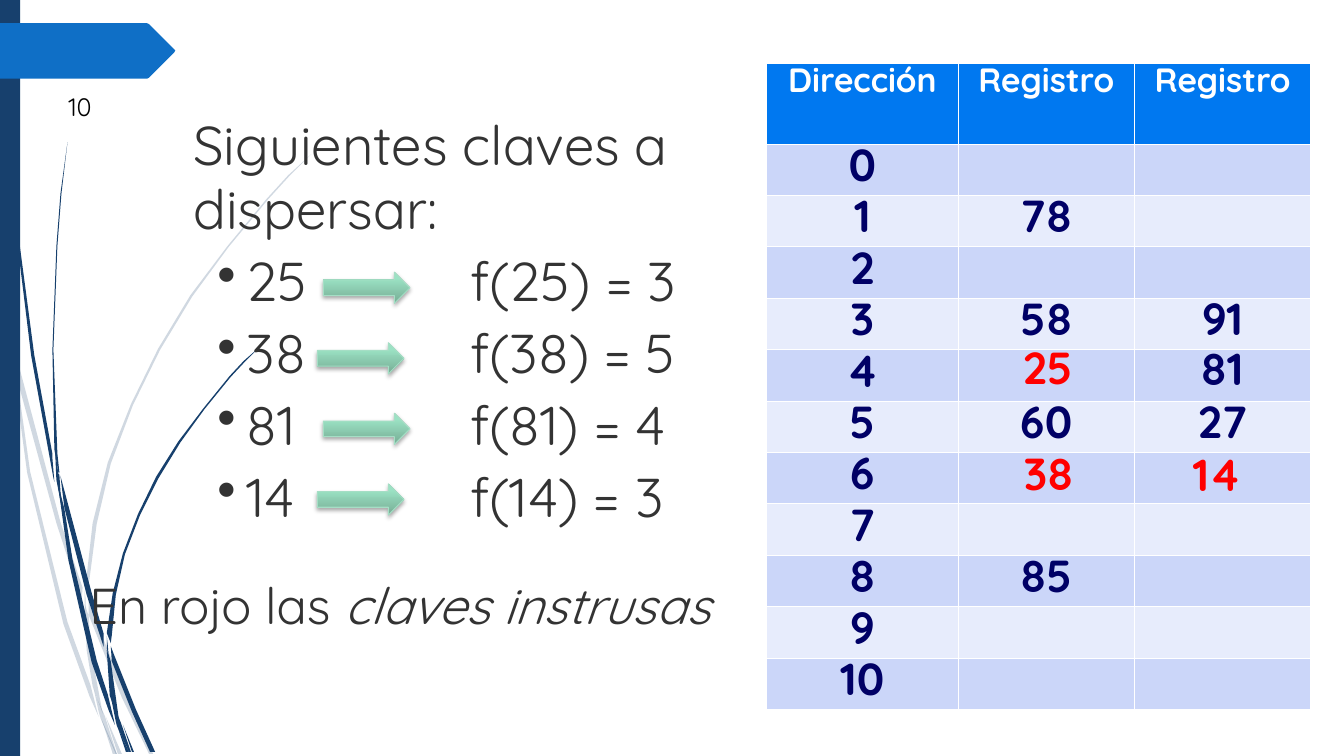
from lxml import etree
from pptx import Presentation
from pptx.dml.color import RGBColor as Rgb
from pptx.enum.shapes import MSO_SHAPE as Shape
from pptx.enum.text import PP_ALIGN as Align
from pptx.oxml import parse_xml
from pptx.oxml.ns import nsdecls, qn
from pptx.util import Inches, Pt

COLORS = {
    "navy": "17406D", "flag": "0F6FC6", "body": "333333", "black": "000000",
    "header": "0078F0", "band": "CBD6F9", "light": "E7ECFC", "key": "000066",
    "intruder": "FF0000", "white": "FFFFFF", "arrow_line": "A5DEC5",
}
ARROW_STOPS = [(0, "76AC94"), (80, "9BE2C4"), (100, "9BE4C5")]

PALE_STRANDS = [
    [(.08, 3.47), (.06, 3.2), (0, 2.82), (0, 2.98), (.07, 3.41)],
    [(.56, 5.19), (.81, 5.96), (.82, 5.83), (.6, 5.18), (.14, 3.45), (.17, 3.76)],
    [(.92, 6.07), (.88, 5.96), (.88, 6.1), (1.21, 6.92), (1.48, 7.48), (1.52, 7.48),
     (1.25, 6.9)],
    [(1.17, 7.48), (1.21, 7.48), (1.05, 7.11)],
    [(.9, 6.8), (.67, 6.17), (.3, 4.68), (.17, 3.76), (.11, 3.5), (.27, 4.69),
     (.63, 6.19), (.89, 6.91), (.98, 7.11), (.96, 7.04)],
    [(.84, 5.99), (.86, 6.45), (.92, 6.81), (.95, 6.89), (1.02, 7.08), (1.01, 7.03),
     (.9, 6.44), (.88, 6.1), (.87, 6.08)],
    [(.88, 5.81), (.96, 5.2), (1.1, 4.6), (1.32, 4.02), (1.59, 3.47), (1.91, 2.94),
     (2.27, 2.45), (2.66, 1.98), (2.87, 1.75), (3.09, 1.53), (2.86, 1.74),
     (2.65, 1.97), (2.26, 2.44), (1.89, 2.93), (1.57, 3.46), (1.3, 4.01),
     (1.07, 4.59), (.92, 5.19), (.85, 5.81), (.85, 5.83), (.88, 5.93)],
    [(1.01, 7.14), (1.12, 7.48), (1.16, 7.48)],
    [(.85, 6.05), (.85, 6.07), (.85, 5.94), (.84, 5.86), (.84, 5.98)],
    [(.96, 6.92), (.93, 6.83), (.98, 7.06), (1, 7.13), (1.15, 7.48), (1.16, 7.48),
     (1.04, 7.1)],
]
NAVY_STRANDS = [
    [(.06, 1.09), (.16, 2.31), (.31, 3.53), (.53, 4.74), (.54, 4.78), (.52, 4.54),
     (.52, 4.5), (.34, 3.52), (.18, 2.31), (.07, 1.09), (.04, .48), (.03, 0),
     (.03, .48)],
    [(.86, 5.9), (1.03, 6.42), (1.03, 6.29), (.91, 5.88), (.6, 4.72), (.64, 5.04)],
    [(1.13, 6.49), (1.1, 6.41), (1.11, 6.56), (1.31, 7.06), (1.49, 7.46),
     (1.54, 7.46), (1.35, 7.04)],
    [(1.07, 6.89), (.96, 6.55), (.72, 5.55), (.64, 5.05), (.57, 4.77), (.68, 5.56),
     (.91, 6.57), (1.08, 7.05), (1.14, 7.19), (1.13, 7.14)],
    [(.59, 4.69), (.57, 4.5), (.53, 3.47), (.57, 2.44), (.61, 1.92), (.67, 1.41),
     (.6, 1.92), (.56, 2.44), (.52, 3.47), (.54, 4.46), (.58, 4.69)],
    [(1.31, 7.46), (1.33, 7.46), (1.22, 7.19)],
    [(.56, 4.76), (.61, 5.02), (.59, 4.71), (.58, 4.7), (.55, 4.49), (.55, 4.53)],
    [(1.11, 6.3), (1.15, 5.9), (1.24, 5.5), (1.39, 5.11), (1.57, 4.75), (1.79, 4.39),
     (2.03, 4.06), (2.29, 3.74), (2.43, 3.59), (2.58, 3.44), (2.42, 3.58),
     (2.28, 3.73), (2.02, 4.05), (1.77, 4.38), (1.55, 4.73), (1.37, 5.1),
     (1.22, 5.49), (1.12, 5.88), (1.06, 6.28), (1.1, 6.38)],
    [(1.17, 7.22), (1.25, 7.46), (1.28, 7.46)],
    [(1.06, 6.45), (1.09, 6.9), (1.14, 7.04), (1.19, 7.16), (1.18, 7.13),
     (1.1, 6.56), (1.08, 6.5)],
    [(1.06, 6.43), (1.07, 6.48), (1.08, 6.53), (1.07, 6.4), (1.06, 6.31)],
    [(1.15, 7.05), (1.1, 6.91), (1.15, 7.16), (1.16, 7.2), (1.28, 7.46),
     (1.3, 7.46), (1.2, 7.17)],
]
FLAG = [(-.01, .23), (1.46, .23), (1.48, .24), (1.73, .49), (1.74, .5), (1.73, .52),
        (1.48, .77), (1.46, .78), (-.01, .78)]

HASHES = [(25, 3), (38, 5), (81, 4), (14, 3)]
RECORDS = {1: ["78"], 3: ["58", "91"], 5: ["60", "27"], 8: ["85"]}
LATE_KEYS = [("14", 11.68, 4.52, "intruder"), ("81", 11.73, 3.47, "key"),
             ("38", 10.01, 4.51, "intruder"), ("25", 10, 3.46, "intruder")]


class HashSlide:
    font = "Quicksand"

    def __init__(self, deck):
        self.slide = deck.slides.add_slide(deck.slide_layouts[6])
        self.shapes = self.slide.shapes

    def paint(self, shape, color, alpha=None):
        shape.shadow.inherit = False
        shape.fill.solid()
        shape.fill.fore_color.rgb = Rgb.from_string(COLORS[color])
        shape.line.fill.background()
        if alpha:
            tint = shape._element.spPr.find(qn("a:solidFill"))[0]
            etree.SubElement(tint, qn("a:alpha"), val=str(alpha * 1000))

    def outline(self, points, color, alpha=None):
        start, *rest = [(Inches(x), Inches(y)) for x, y in points]
        builder = self.shapes.build_freeform(*start)
        builder.add_line_segments(rest, close=True)
        self.paint(builder.convert_to_shape(), color, alpha)

    def bar(self, *box):
        self.paint(self.shapes.add_shape(Shape.RECTANGLE, *map(Inches, box)), "navy")

    def arrow(self, *box):
        arrow = self.shapes.add_shape(Shape.RIGHT_ARROW, *map(Inches, box))
        arrow.line.color.rgb = Rgb.from_string(COLORS["arrow_line"])
        arrow.line.width = Pt(0.75)
        stops = "".join(f'<a:gs pos="{pos * 1000}"><a:srgbClr val="{color}"/></a:gs>'
                        for pos, color in ARROW_STOPS)
        props = arrow._element.spPr
        props.find(qn("a:prstGeom")).addnext(parse_xml(
            f'<a:gradFill {nsdecls("a")} rotWithShape="1"><a:gsLst>{stops}</a:gsLst>'
            '<a:lin ang="16200000" scaled="0"/></a:gradFill>'))
        props.append(parse_xml(
            f'<a:effectLst {nsdecls("a")}><a:outerShdw blurRad="{Pt(3.1)}" '
            f'dist="{Pt(1.8)}" dir="5400000" rotWithShape="0"><a:srgbClr val="000000">'
            '<a:alpha val="35000"/></a:srgbClr></a:outerShdw></a:effectLst>'))

    def add_words(self, para, words, size, color, bold=False, italic=False):
        run = para.add_run()
        run.text = words
        run.font.name, run.font.size = self.font, Pt(size)
        run.font.bold, run.font.italic = bold, italic
        run.font.color.rgb = Rgb.from_string(COLORS[color])

    def textbox(self, *box):
        frame = self.shapes.add_textbox(*map(Inches, box)).text_frame
        frame.word_wrap = True
        return frame

    def key(self, para, words, size=32, color="key"):
        para.alignment = Align.CENTER
        para.line_spacing = 0.72
        self.add_words(para, words, size, color, bold=True)

    def bullet(self, para):
        para.space_before = Pt(6)
        props = para._p.get_or_add_pPr()
        props.set("marL", str(Inches(0.53)))
        props.set("indent", str(Inches(-0.29)))
        for tag in (f'<a:buClr {nsdecls("a")}><a:srgbClr val="{COLORS["body"]}"/></a:buClr>',
                    f'<a:buChar {nsdecls("a")} char="•"/>',
                    f'<a:tabLst {nsdecls("a")}><a:tab pos="{Inches(2.75)}" algn="l"/></a:tabLst>'):
            props.append(parse_xml(tag))

    def cell(self, cell, words, size, color, fill):
        cell.fill.solid()
        cell.fill.fore_color.rgb = Rgb.from_string(COLORS[fill])
        props = cell._tc.get_or_add_tcPr()
        for index, side in enumerate(("lnL", "lnR", "lnT", "lnB")):
            props.insert(index, parse_xml(
                f'<a:{side} {nsdecls("a")} w="{Pt(0.75)}"><a:solidFill>'
                f'<a:srgbClr val="{COLORS["white"]}"/></a:solidFill></a:{side}>'))
        if words:
            self.key(cell.text_frame.paragraphs[0], words, size, color)

    def table(self, rows, left, top, widths, header_height, row_height):
        height = header_height + row_height * (len(rows) - 1)
        grid = self.shapes.add_table(len(rows), len(widths), Inches(left), Inches(top),
                                     Inches(sum(widths)), Inches(height)).table
        for column, width in zip(grid.columns, widths):
            column.width = Inches(width)
        for r, row in enumerate(rows):
            grid.rows[r].height = Inches(row_height if r else header_height)
            fill = ("light", "band")[r % 2] if r else "header"
            size, color = (32, "key") if r else (24, "white")
            for c, words in enumerate(row):
                self.cell(grid.cell(r, c), words, size, color, fill)


def main():
    deck = Presentation()
    deck.slide_width, deck.slide_height = Inches(13.34), Inches(7.5)
    page = HashSlide(deck)

    for strand in PALE_STRANDS:
        page.outline(strand, "navy", alpha=20)
    for strand in NAVY_STRANDS:
        page.outline(strand, "navy")
    page.bar(0, 0, 0.2, 7.5)
    page.outline(FLAG, "flag")

    number = page.textbox(0.58, 0.86, 0.85, 0.4)
    page.add_words(number.paragraphs[0], "10", 18, "black")

    claves = page.textbox(1.82, 1.09, 5.16, 5.39)
    page.add_words(claves.paragraphs[0], "Siguientes claves a dispersar:", 39, "body")
    for clave, direccion in HASHES:
        line = claves.add_paragraph()
        page.bullet(line)
        page.add_words(line, f"{clave}\tf({clave}) = {direccion}", 39, "body")
    for line in claves.paragraphs:
        line.line_spacing = 0.97
    for i in range(len(HASHES)):
        page.arrow(3.15 if i % 2 else 3.21, 2.7 + 0.7 * i, 0.86, 0.31)

    rows = [["Dirección", "Registro", "Registro"]]
    for direccion in range(11):
        rows.append(([str(direccion)] + RECORDS.get(direccion, []) + ["", ""])[:3])
    page.table(rows, 7.61, 0.63, [1.9, 1.75, 1.75], 0.8, 0.51)
    for clave, left, top, color in LATE_KEYS:
        page.key(page.textbox(left, top, 0.8, 0.86).paragraphs[0], clave, color=color)

    nota = page.textbox(0.79, 5.7, 6.96, 0.66).paragraphs[0]
    nota.line_spacing = 0.93
    page.add_words(nota, "En rojo las ", 36, "body")
    page.add_words(nota, "claves instrusas", 36, "body", italic=True)
    deck.save("out.pptx")


if __name__ == "__main__":
    main()
